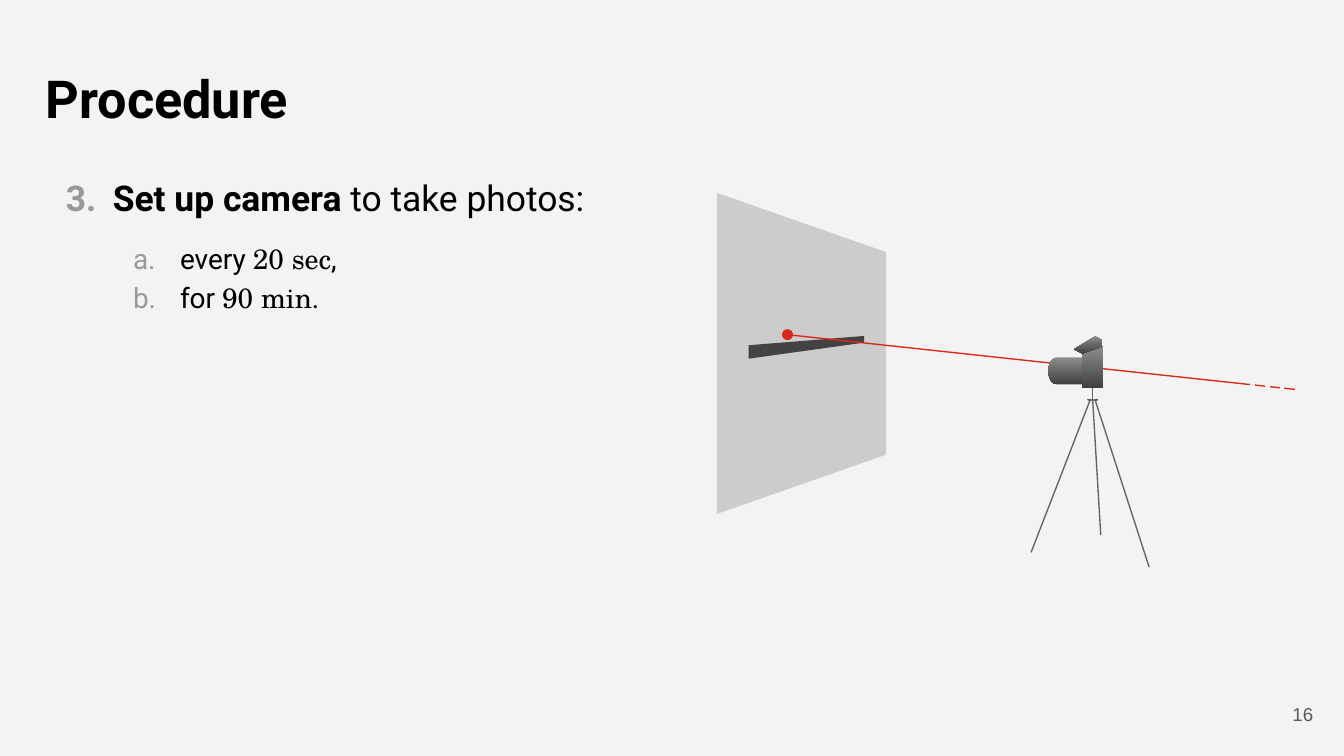
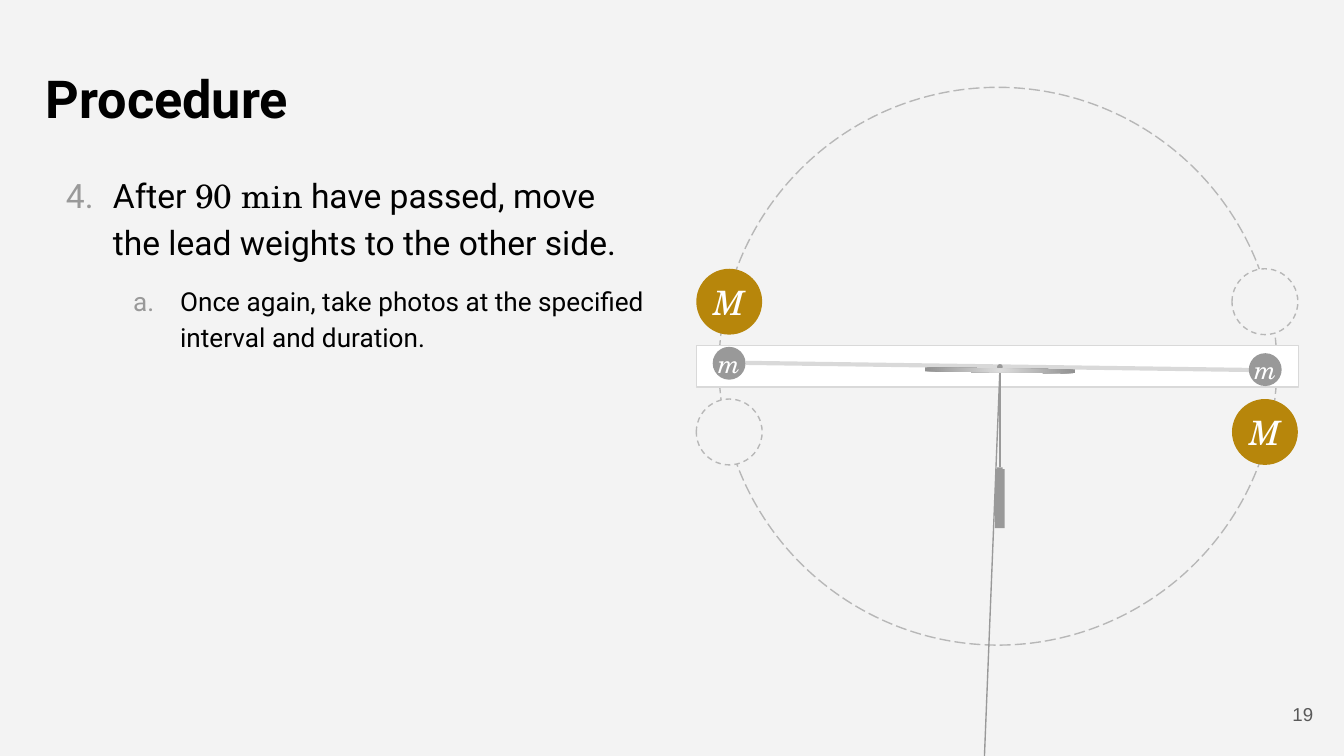
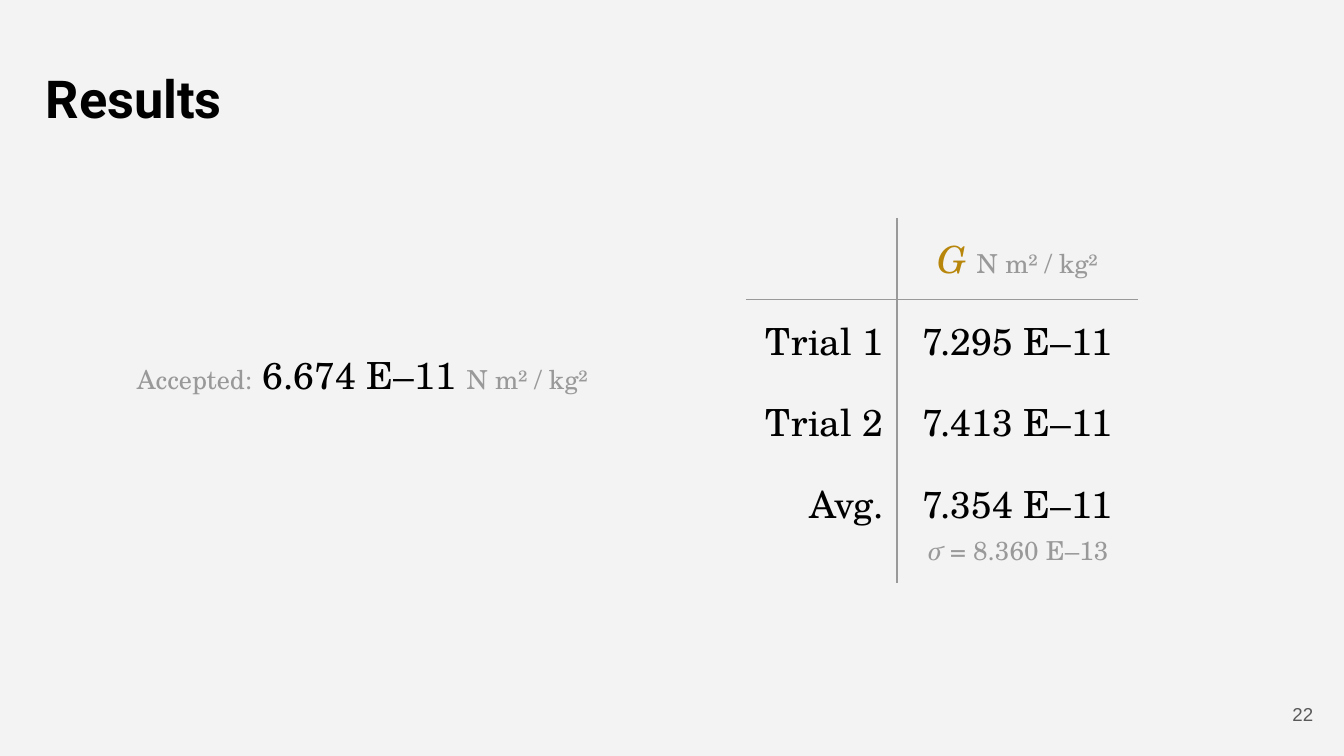
from dataclasses import dataclass

import pptx
import pptx.dml.color
import pptx.enum.dml
import pptx.enum.shapes
import pptx.enum.text
import pptx.oxml
import pptx.oxml.ns
import pptx.util

Pt = pptx.util.Pt
SHAPE = pptx.enum.shapes.MSO_SHAPE
ALIGN = pptx.enum.text.PP_ALIGN
ANCHOR = pptx.enum.text.MSO_ANCHOR
DASH = pptx.enum.dml.MSO_LINE


@dataclass(frozen=True)
class Theme:
    # Colours
    background: str = "F3F3F3"
    ink: str = "000000"
    muted: str = "999999"
    page: str = "595959"
    wall: str = "CCCCCC"
    bar: str = "434343"
    beam: str = "DA291C"
    tripod: str = "666666"
    gold: str = "B7860B"
    white: str = "FFFFFF"
    pale: str = "D9D9D9"
    orbit: str = "B7B7B7"
    metal: tuple = ("8C8C8C", "404040")
    mirror: tuple = ("DDDDDD", "919191")
    # Fonts
    sans: str = "Roboto"
    serif: str = "TeX Gyre Schola"
    footer: str = "Arial"
    # Type sizes and line widths
    title_size: float = 28
    value_size: float = 20
    symbol_size: float = 18
    small_symbol_size: float = 13.5
    unit_size: float = 14
    page_size: float = 10
    hairline: float = 0.75
    heavy: float = 2.25


THEME = Theme()
SERIF = {"font": THEME.serif}
VALUE = {"size": THEME.value_size, "font": THEME.serif}
UNIT = {"size": THEME.unit_size, "font": THEME.serif, "color": THEME.muted}
UNIT_TEXT = "N m² / kg²"


def rgb(value):
    return pptx.dml.color.RGBColor.from_string(value)


def add_element(parent, xml):
    """Append a drawing element written without its namespace declaration."""
    namespace = pptx.oxml.ns.nsdecls("a")
    tag, rest = xml.split(" ", 1)
    element = pptx.oxml.parse_xml(f"{tag} {namespace} {rest}")
    parent.append(element)


def add_text(paragraph, text, size=18, font=THEME.sans, color=THEME.ink, bold=False, italic=False):
    if text == "\n":
        paragraph.add_line_break()
        return
    run = paragraph.add_run()
    run.text = text
    run.font.size = Pt(size)
    run.font.name = font
    run.font.color.rgb = rgb(color)
    run.font.bold = bold
    run.font.italic = italic


class Deck:
    def __init__(self, theme):
        self.theme = theme
        self.presentation = pptx.Presentation()
        self.presentation.slide_width = Pt(720)
        self.presentation.slide_height = Pt(405)
        fill = self.presentation.slide_master.background.fill
        fill.solid()
        fill.fore_color.rgb = rgb(theme.background)
        self.slide = None

    # Slide frame
    def new_slide(self, title, number):
        self.slide = self.presentation.slides.add_slide(self.presentation.slide_layouts[5])
        shape = self.slide.shapes.title
        shape.left, shape.top, shape.width, shape.height = map(Pt, (24.5, 35.3, 671, 45.4))
        self.frame(shape, 0, ANCHOR.TOP)
        paragraph = shape.text_frame.paragraphs[0]
        paragraph.alignment = ALIGN.LEFT
        add_text(paragraph, title, size=self.theme.title_size, bold=True)
        self.text_box(667.4, 367.2, 43.2, 31,
                      [(str(number), {"size": self.theme.page_size, "font": self.theme.footer,
                                      "color": self.theme.page})],
                      align=ALIGN.RIGHT, anchor=ANCHOR.MIDDLE)

    # Text
    def frame(self, shape, inset, anchor, wrap=True):
        frame = shape.text_frame
        frame.word_wrap = wrap
        frame.auto_size = pptx.enum.text.MSO_AUTO_SIZE.NONE
        frame.vertical_anchor = anchor
        frame.margin_left = frame.margin_right = Pt(inset)
        frame.margin_top = frame.margin_bottom = Pt(inset)
        return frame

    def text_box(self, left, top, width, height, runs, align=ALIGN.CENTER, anchor=ANCHOR.TOP):
        shape = self.slide.shapes.add_textbox(Pt(left), Pt(top), Pt(width), Pt(height))
        paragraph = self.frame(shape, 7.2, anchor).paragraphs[0]
        paragraph.alignment = align
        for text, style in runs:
            add_text(paragraph, text, **style)

    def steps(self, width, height, start, size, heading, sub_size, items):
        """One numbered step with lettered sub-steps."""
        shape = self.slide.shapes.add_textbox(Pt(24.5), Pt(90.7), Pt(width), Pt(height))
        frame = self.frame(shape, 0, ANCHOR.TOP)
        for index, runs in enumerate([heading] + items):
            level = min(index, 1)
            paragraph = frame.add_paragraph() if index else frame.paragraphs[0]
            paragraph.level = level
            paragraph.line_spacing = 1.15
            paragraph.space_before = Pt(10 if index == 1 else 0)
            properties = paragraph._p.get_or_add_pPr()
            properties.set("marL", str(Pt(36 * (level + 1))))
            properties.set("indent", str(-Pt(25.2)))
            numbering = 'type="alphaLcPeriod"' if level else f'type="arabicPeriod" startAt="{start}"'
            add_element(properties, f'<a:buClr ><a:srgbClr val="{self.theme.muted}"/></a:buClr>')
            add_element(properties, f'<a:buFont typeface="{self.theme.sans}"/>')
            add_element(properties, f"<a:buAutoNum {numbering}/>")
            for text, style in runs:
                add_text(paragraph, text, size=sub_size if level else size, **style)

    # Shapes
    def paint(self, shape, fill=None, line=None, dash=None, radial=False):
        shape.shadow.inherit = False
        if fill is None:
            shape.fill.background()
        elif isinstance(fill, tuple):
            shape.fill.gradient()
            for stop, color in zip(shape.fill.gradient_stops, fill):
                stop.color.rgb = rgb(color)
            shape.fill.gradient_angle = 270
            if radial:
                gradient = shape.element.spPr.find(pptx.oxml.ns.qn("a:gradFill"))
                gradient.remove(gradient.find(pptx.oxml.ns.qn("a:lin")))
                add_element(gradient, '<a:path path="circle"><a:fillToRect l="50000" t="50000" '
                                      'r="50000" b="50000"/></a:path>')
        else:
            shape.fill.solid()
            shape.fill.fore_color.rgb = rgb(fill)
        if line is None:
            shape.line.fill.background()
        else:
            shape.line.color.rgb = rgb(line)
            shape.line.width = Pt(self.theme.hairline)
            if dash is not None:
                shape.line.dash_style = dash
        return shape

    def shape(self, kind, left, top, width, height, rotation=0, **style):
        shape = self.slide.shapes.add_shape(kind, Pt(left), Pt(top), Pt(width), Pt(height))
        shape.rotation = rotation
        return self.paint(shape, **style)

    def polygon(self, points, fill):
        corners = [(Pt(x), Pt(y)) for x, y in points]
        builder = self.slide.shapes.build_freeform(*corners[0])
        builder.add_line_segments(corners[1:], close=True)
        return self.paint(builder.convert_to_shape(), fill)

    def ball(self, left, top, diameter, symbol="", size=18, **style):
        shape = self.shape(SHAPE.OVAL, left, top, diameter, diameter, **style)
        if symbol:
            paragraph = self.frame(shape, 0, ANCHOR.MIDDLE, wrap=False).paragraphs[0]
            paragraph.alignment = ALIGN.CENTER
            add_text(paragraph, symbol, size=size, font=self.theme.serif,
                     color=self.theme.white, italic=True)

    def line(self, start, end, color, width=THEME.hairline, dot=False):
        connector = self.slide.shapes.add_connector(
            pptx.enum.shapes.MSO_CONNECTOR.STRAIGHT, *map(Pt, (*start, *end)))
        connector.line.color.rgb = rgb(color)
        connector.line.width = Pt(width)
        if dot:
            add_element(connector.line._get_or_add_ln(), '<a:tailEnd type="oval"/>')
        add_element(connector.element.spPr, "<a:effectLst />")
        return connector

    # Table
    def table(self, left, top, widths, heights, rows):
        graphic = self.slide.shapes.add_table(len(rows), len(widths), Pt(left), Pt(top),
                                              Pt(sum(widths)), Pt(sum(heights)))
        table = graphic.table
        table.first_row = table.horz_banding = False
        for column, width in zip(table.columns, widths):
            column.width = Pt(width)
        for row_index, (row, height) in enumerate(zip(rows, heights)):
            table.rows[row_index].height = Pt(height)
            for column_index, runs in enumerate(row):
                cell = table.cell(row_index, column_index)
                cell.margin_left = cell.margin_right = Pt(7.2)
                cell.margin_top = cell.margin_bottom = Pt(7.2)
                paragraph = cell.text_frame.paragraphs[0]
                paragraph.alignment = ALIGN.CENTER if column_index else ALIGN.RIGHT
                for text, style in runs:
                    add_text(paragraph, text, **style)
                self.borders(cell, {"L": column_index == 1, "R": column_index == 0,
                                    "T": row_index == 1, "B": row_index == 0})
                cell.fill.background()

    def borders(self, cell, sides):
        properties = cell._tc.get_or_add_tcPr()
        for side, visible in sides.items():
            fill = (f'<a:solidFill><a:srgbClr val="{self.theme.muted}"/></a:solidFill>'
                    if visible else "<a:noFill/>")
            add_element(properties, f'<a:ln{side} w="{Pt(self.theme.hairline)}">{fill}</a:ln{side}>')


def camera_slide(deck):
    theme = deck.theme
    deck.new_slide("Procedure", 16)
    deck.steps(335.5, 87, 3, 19,
               [("Set up camera", {"bold": True}), (" to take photos:", {})], 15,
               [[("every ", {}), ("20 sec", SERIF), (",", {})],
                [("for ", {}), ("90 min", SERIF), (".", {})]])

    # Wall, bar and beam
    wall = deck.shape(SHAPE.TRAPEZOID, 343.4, 144, 172, 90.7, rotation=90, fill=theme.wall)
    wall.adjustments[0] = 0.35
    deck.polygon([(401, 192.2), (401, 185), (463, 180), (463, 183.6)], theme.bar)
    deck.line((695.5, 208.8), (421.9, 179.3), theme.beam, dot=True)
    for gap in range(4):
        x = 671 + 8 * gap
        deck.line((x, 213.8), (x, 200.9), theme.background, theme.heavy)

    # Camera
    deck.shape(SHAPE.FLOWCHART_STORED_DATA, 561.6, 191.5, 26.6, 14.4, fill=theme.metal)
    body = deck.shape(SHAPE.RECTANGLE, 579.8, 185.8, 11, 22.3, fill=theme.metal)
    deck.polygon([(579.8, 189.4), (575.3, 187.2), (586.8, 180), (590.4, 182.2), (590.8, 185.8)],
                 theme.metal)

    # Tripod
    deck.shape(SHAPE.OVAL, 582.5, 213.8, 5.8, 0.8, fill=theme.metal, radial=True)
    post = deck.line((585.3, 214.6), (585.3, 208.1), theme.tripod)
    post.end_connect(body, 2)
    for foot, hip_x in (((552.4, 295.9), 583.9), ((589.7, 286.6), 585.4), ((615.6, 303.8), 586.8)):
        deck.line(foot, (hip_x, 214.6), theme.tripod)


def balance_slide(deck):
    theme = deck.theme
    deck.new_slide("Procedure", 19)
    deck.steps(322.6, 269, 4, 18,
               [("After ", {}), ("90 min", SERIF),
                (" have passed, move the lead weights to the other side.", {})], 14,
               [[("Once again, take photos at the specified interval and duration.", {})]])

    # Orbit, tube and lead weights
    left, right, upper, lower, diameter = 373, 660, 144, 213.8, 35.3
    deck.ball(385.2, 46.8, 298.8, line=theme.orbit, dash=DASH.LONG_DASH)
    deck.shape(SHAPE.RECTANGLE, left, 185, 322.6, 22.3, fill=theme.white, line=theme.pale)
    for x, y in ((left, upper), (right, lower)):
        deck.ball(x, y, diameter, "M", theme.symbol_size, fill=theme.gold)
    for x, y in ((left, lower), (right, upper)):
        deck.ball(x, y, diameter, fill=theme.background, line=theme.orbit, dash=DASH.DASH)

    # Rod and small masses
    deck.line((399.6, 194.4), (669.6, 198.2), theme.pale, theme.heavy)
    for x, y in ((381.8, 185.8), (669, 189.2)):
        deck.ball(x, y, 17.6, "m", theme.small_symbol_size, fill=theme.muted)

    # Pivot, bob and mirror
    deck.ball(534.2, 195.1, 3, fill=theme.muted)
    deck.shape(SHAPE.RECTANGLE, 533.2, 251.3, 5, 31.7, fill=theme.muted)
    cap = deck.shape(SHAPE.RECTANGLE, 534.2, 250.4, 3, 1.4, fill=theme.muted)
    wire = deck.line((535.7, 250.4), (535.7, 197.3), theme.muted)
    wire.begin_connect(cap, 0)
    deck.line((527.4, 405), (535.7, 197.3), theme.muted)
    deck.shape(SHAPE.RECTANGLE, 495.4, 197.3, 80.6, 2.2, rotation=180.8,
               fill=theme.mirror, radial=True)


def results_slide(deck):
    theme = deck.theme
    deck.new_slide("Results", 22)

    # Measured values
    rows = [
        [[], [("G ", {**VALUE, "color": theme.gold, "italic": True}), (UNIT_TEXT, UNIT)]],
        [[("Trial 1", VALUE)], [("7.295 E–11", VALUE)]],
        [[("Trial 2", VALUE)], [("7.413 E–11", VALUE)]],
        [[("Avg.", VALUE)], [("7.354 E–11", VALUE), ("\n", {}),
                             ("σ", {**UNIT, "italic": True}), (" = 8.360 E–13", UNIT)]],
    ]
    deck.table(399.6, 116.8, [81, 129], [43.5, 43.5, 43.5, 63.5], rows)

    # Accepted value
    deck.text_box(50.4, 181.4, 287.3, 38.9,
                  [("Accepted:", UNIT), (" ", VALUE), ("6.674 E–11 ", VALUE), (UNIT_TEXT, UNIT)])


def main():
    deck = Deck(THEME)
    camera_slide(deck)
    balance_slide(deck)
    results_slide(deck)
    deck.presentation.save("out.pptx")


if __name__ == "__main__":
    main()
